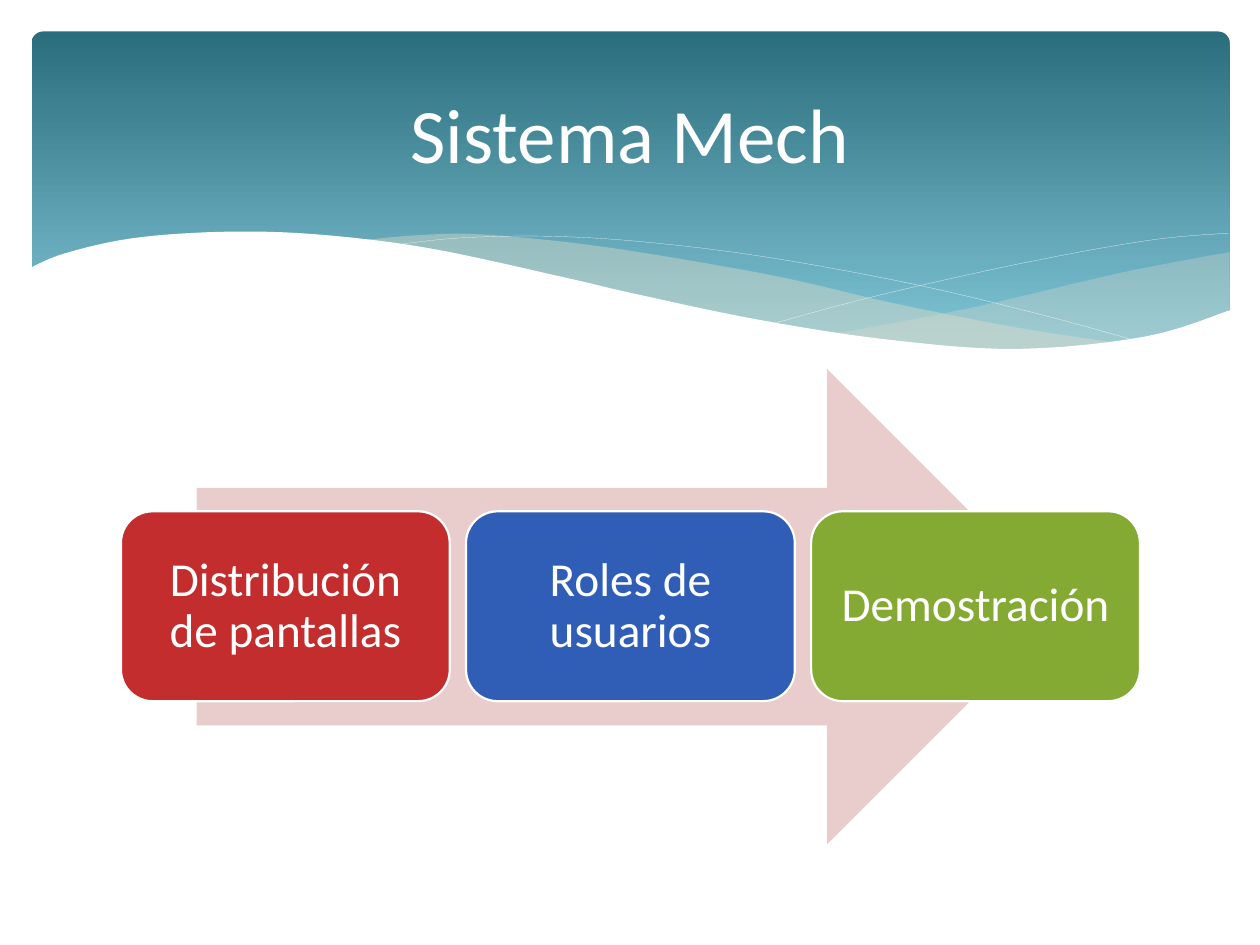
from lxml import etree
from pptx import Presentation
from pptx.dml.color import RGBColor
from pptx.enum.shapes import MSO_SHAPE
from pptx.enum.text import MSO_ANCHOR, PP_ALIGN
from pptx.oxml.ns import qn
from pptx.util import Pt

ROUNDED = MSO_SHAPE.ROUNDED_RECTANGLE
ARROW = MSO_SHAPE.RIGHT_ARROW
MIDDLE = MSO_ANCHOR.MIDDLE
CENTER = PP_ALIGN.CENTER
FONT = "Calibri"
WHITE = "FFFFFF"
SAND = "E7DEC9"
UNITS_PER_POINT = 100

RIGHT_WAVE_TOP = [(702.7, 144), (652.3, 153.4), (619.9, 160.6), (560.9, 174.6),
                  (508.3, 185), (475.9, 190.8)]
RIGHT_WAVE_BOTTOM = [(475.9, 190.8), (527, 197.3), (578.2, 200.2), (622.1, 198),
                     (663.1, 190.8), (702.7, 177.8)]
LEFT_WAVE_TOP = [(643, 196.6), (581, 187.2), (508.3, 172.8), (452.9, 159.8),
                 (399.6, 149.8), (334.8, 139.7), (273.6, 133.9), (236.2, 134.6),
                 (205.9, 137.5)]
LEFT_WAVE_BOTTOM = [(205.9, 137.5), (260.6, 146.2), (323.3, 159.8), (407.5, 178.6),
                    (478.8, 191.5), (538.6, 198.7), (589, 200.2), (643, 196.6)]
FALLING_LINE = [(222.5, 140.4), (261.4, 136.1), (311.8, 135), (367.2, 138.2),
                (437.8, 146.9), (523.4, 162.7), (598.3, 180.7), (653, 195.8)]
RISING_LINE = [(441.4, 185), (500.4, 169.2), (580.3, 151.2), (655.2, 137.5),
               (702, 133.2)]
WHITE_WAVE_TOP = [(703.4, 177.1), (655.2, 192.2), (582.5, 199.4), (509.8, 194.4),
                  (434.2, 182.9), (362.2, 167.8), (321.8, 158.4), (244.8, 141.8),
                  (180, 133.9), (127.4, 132.5), (76.3, 136.1), (37.4, 144.7),
                  (16.6, 153.4)]
WHITE_WAVE_BASE = [(16.6, 236.9), (703.4, 236.9)]

STEPS = [("Distribución de pantallas", "C32D2E"),
         ("Roles de usuarios", "305EB6"),
         ("Demostración", "84AA33")]
STEP_LEFT, STEP_TOP, STEP_WIDTH, STEP_HEIGHT = 69.1, 292.2, 187.9, 108.5
STEP_PITCH = 197.2


def rgb(color):
    return RGBColor.from_string(color)


def smooth(knots, steps=6):
    padded = [knots[0], *knots, knots[-1]]
    curve = [knots[0]]
    for a, b, c, d in zip(padded, padded[1:], padded[2:], padded[3:]):
        for step in range(1, steps + 1):
            t = step / steps
            curve.append(tuple(
                (2 * q + (r - p) * t + (2 * p - 5 * q + 4 * r - s) * t ** 2
                 + (3 * q - p - 3 * r + s) * t ** 3) / 2
                for p, q, r, s in zip(a, b, c, d)))
    return curve


def paint(shape, fill=None, line=None, line_width=0.1, opacity=100):
    shape.shadow.inherit = False
    if fill:
        shape.fill.solid()
        shape.fill.fore_color.rgb = rgb(fill)
        if opacity < 100:
            color = shape.fill._xPr.find(qn("a:solidFill"))[0]
            etree.SubElement(color, qn("a:alpha"), val=str(opacity * 1000))
    else:
        shape.fill.background()
    if line:
        shape.line.color.rgb = rgb(line)
        shape.line.width = Pt(line_width)
    else:
        shape.line.fill.background()


def add_preset(slide, kind, left, top, width, height):
    return slide.shapes.add_shape(kind, Pt(left), Pt(top), Pt(width), Pt(height))


def add_outline(slide, points, closed=True, **style):
    fine = [(x * UNITS_PER_POINT, y * UNITS_PER_POINT) for x, y in points]
    builder = slide.shapes.build_freeform(*fine[0], scale=Pt(1) / UNITS_PER_POINT)
    builder.add_line_segments(fine[1:], close=closed)
    paint(builder.convert_to_shape(), **style)


def write(shape, text, size, inset):
    frame = shape.text_frame
    frame.text = text
    frame.word_wrap = True
    frame.vertical_anchor = MIDDLE
    frame.margin_left = frame.margin_right = Pt(inset)
    frame.margin_top = frame.margin_bottom = Pt(inset)
    paragraph = frame.paragraphs[0]
    paragraph.alignment = CENTER
    font = paragraph.runs[0].font
    font.name = FONT
    font.size = Pt(size)
    font.color.rgb = rgb(WHITE)
    return paragraph


def add_banner(slide):
    banner = add_preset(slide, ROUNDED, 18, 18, 684.7, 194.4)
    banner.adjustments[0] = 0.034
    paint(banner)
    banner.fill.gradient()
    banner.fill.gradient_angle = 270
    for stop, color, position in zip(banner.fill.gradient_stops,
                                     ("2A6D7D", "7EC3D4"), (0, 0.9)):
        stop.color.rgb = rgb(color)
        stop.position = position


def add_waves(slide):
    add_outline(slide, smooth(RIGHT_WAVE_TOP) + smooth(RIGHT_WAVE_BOTTOM),
                fill=SAND, opacity=29)
    add_outline(slide, smooth(LEFT_WAVE_TOP) + smooth(LEFT_WAVE_BOTTOM),
                fill=SAND, opacity=40)
    for knots in (FALLING_LINE, RISING_LINE):
        add_outline(slide, smooth(knots), closed=False, line=WHITE)
    add_outline(slide, smooth(WHITE_WAVE_TOP) + WHITE_WAVE_BASE, fill=WHITE)


def add_step(slide, index, label, color):
    step = add_preset(slide, ROUNDED, STEP_LEFT + index * STEP_PITCH, STEP_TOP,
                      STEP_WIDTH, STEP_HEIGHT)
    paint(step, fill=color, line=WHITE, line_width=1.25)
    write(step, label, 27, 8).line_spacing = 0.9


def add_title(slide, text):
    title = slide.shapes.add_textbox(Pt(36), Pt(26.6), Pt(648), Pt(98.6))
    write(title, text, 44, 3.6)


def main():
    deck = Presentation()
    deck.slide_width, deck.slide_height = Pt(720), Pt(540)
    slide = deck.slides.add_slide(deck.slide_layouts[6])
    add_banner(slide)
    add_waves(slide)
    arrow = add_preset(slide, ARROW, 112.3, 211, 496.1, 271.4)
    paint(arrow, fill="E9CDCD")
    for index, (label, color) in enumerate(STEPS):
        add_step(slide, index, label, color)
    add_title(slide, "Sistema Mech")
    deck.save("out.pptx")


if __name__ == "__main__":
    main()
